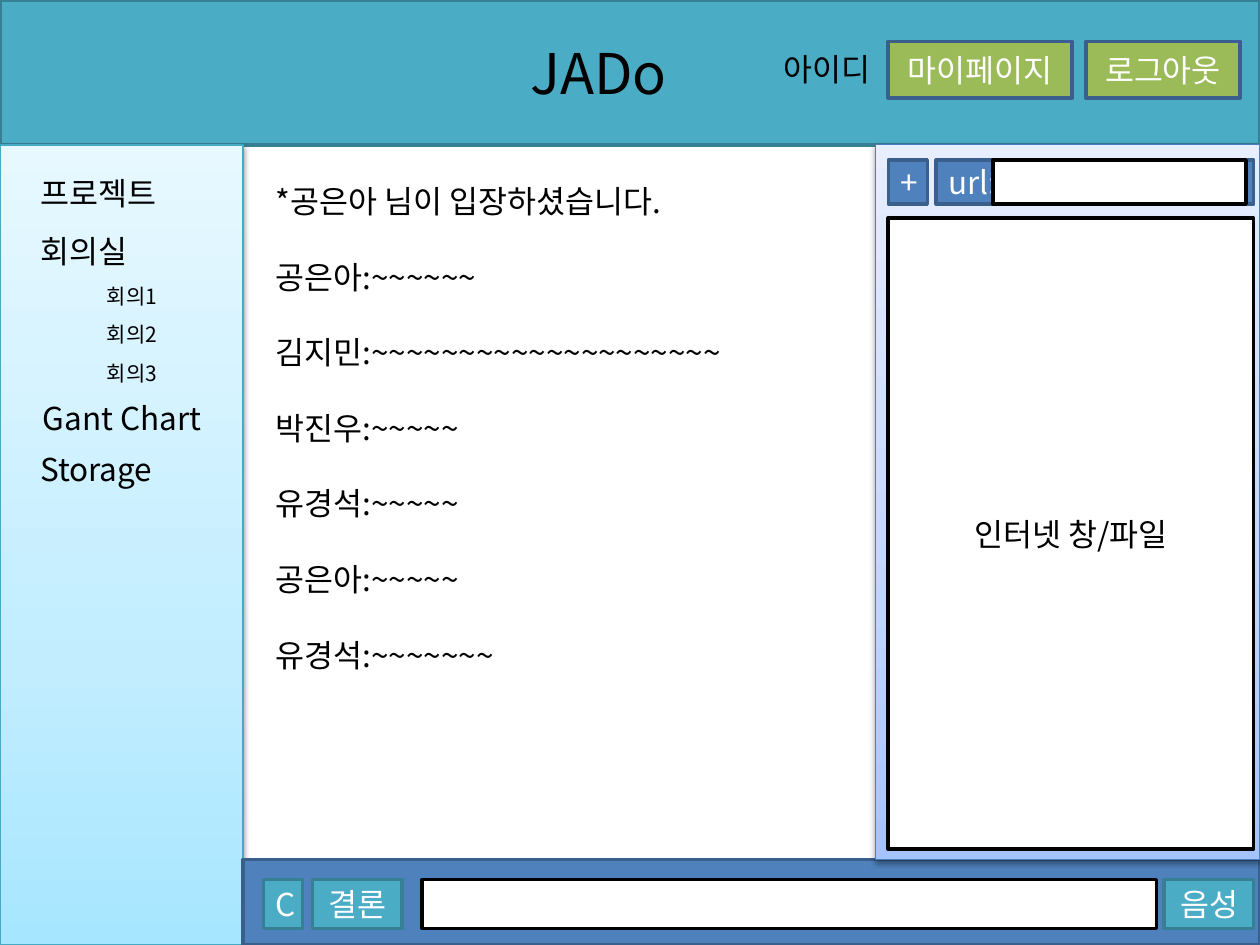
from copy import deepcopy
from lxml import etree
from pptx import Presentation
from pptx.dml.color import RGBColor
from pptx.enum.shapes import MSO_SHAPE
from pptx.enum.text import MSO_ANCHOR, PP_ALIGN
from pptx.oxml.ns import qn
from pptx.util import Inches, Pt

RECT = MSO_SHAPE.RECTANGLE
MIDDLE = MSO_ANCHOR.MIDDLE
LEFT, CENTER = PP_ALIGN.LEFT, PP_ALIGN.CENTER

THEME = {
    "font": "Noto Sans CJK KR",
    "title": 32, "body": 18, "small": 12,
    "teal": ("4BACC6", "377F92", "FFFFFF"),
    "green": ("9BBB59", "3A5F8C", "FFFFFF"),
    "blue": ("4F81BD", "3A5F8C", "FFFFFF"),
    "white": ("FFFFFF", "000000", "000000"),
    "sky": (("A7E6FF", "C1EDFF", "E7F8FF"), "46AAC5"),
    "lavender": (("A4C4FF", "BFD4FF", "E6EEFF"), "4B7EBC"),
    "ink": "000000",
    "border": 2, "panel_border": 0.75,
    "chat_line": 22, "chat_gap": 21.2,
}

HEADER_LABELS = [("아이디", 6.12, 0.35, 1.65, 0.4, "body"),
                 ("JADo", 4.11, 0.26, 1.38, 0.64, "title")]
ACCOUNT_BUTTONS = [("로그아웃", 8.62, 1.22), ("마이페이지", 7.05, 1.46)]
MENU = [("프로젝트", 0.22, 1.33), ("회의실", 0.22, 1.79),
        ("Gant Chart", 0.24, 3.12), ("Storage", 0.22, 3.52)]
MEETINGS = ["회의1", "회의2", "회의3"]
CHAT = [
    "*공은아 님이 입장하셨습니다.",
    "공은아:~~~~~~",
    "김지민:~~~~~~~~~~~~~~~~~~~~",
    "박진우:~~~~~",
    "유경석:~~~~~",
    "공은아:~~~~~",
    "유경석:~~~~~~~",
]
INPUT_BAR = [("C", 2.09, 0.31, "teal"), ("결론", 2.48, 0.71, "teal"),
             ("", 3.35, 5.83, "white"), ("음성", 9.24, 0.71, "teal")]
BROWSER_BAR = [("+", 7.05, 0.31, "blue", CENTER), ("url:", 7.43, 2.52, "blue", LEFT),
               ("", 7.88, 2.01, "white", CENTER)]

HEADER_H, SIDEBAR_W, FOOTER_TOP, BROWSER_LEFT = 1.15, 1.93, 6.82, 6.95
SLIDE_W, SLIDE_H = 10, 7.5

prs = Presentation()
prs.slide_width, prs.slide_height = Inches(SLIDE_W), Inches(SLIDE_H)
slide = prs.slides.add_slide(prs.slide_layouts[6])


def style(paragraph, size, color, align=LEFT):
    paragraph.alignment = align
    for run in paragraph.runs:
        run.font.size = Pt(THEME[size])
        run.font.name = THEME["font"]
        run.font.color.rgb = RGBColor.from_string(color)
        east_asian = etree.SubElement(run.font._element, qn("a:ea"))
        east_asian.set("typeface", THEME["font"])


def outlined_rect(x, y, w, h, line, width):
    rect = slide.shapes.add_shape(RECT, Inches(x), Inches(y), Inches(w), Inches(h))
    rect.shadow.inherit = False
    rect.line.color.rgb = RGBColor.from_string(line)
    rect.line.width = Pt(THEME[width])
    return rect


def box(x, y, w, h, look, text="", align=CENTER):
    fill, line, ink = THEME[look]
    rect = outlined_rect(x, y, w, h, line, "border")
    rect.fill.solid()
    rect.fill.fore_color.rgb = RGBColor.from_string(fill)
    if text:
        rect.text_frame.text = text
        rect.text_frame.vertical_anchor = MIDDLE
        style(rect.text_frame.paragraphs[0], "body", ink, align)


def gradient_panel(x, y, w, h, look):
    colors, line = THEME[look]
    panel = outlined_rect(x, y, w, h, line, "panel_border")
    panel.fill.gradient()
    panel.fill.gradient_angle = 90
    properties = panel._element.spPr
    stop_list = properties.find(".//" + qn("a:gsLst"))
    stop_list.append(deepcopy(stop_list[-1]))
    for stop, color, position in zip(panel.fill.gradient_stops, colors, (0, 0.35, 1)):
        stop.color.rgb = RGBColor.from_string(color)
        stop.position = position
    shadow = etree.SubElement(properties.find(qn("a:effectLst")), qn("a:outerShdw"),
                              blurRad=str(Pt(3.1)), dist=str(Pt(1.6)),
                              dir="5400000", rotWithShape="0")
    shade = etree.SubElement(shadow, qn("a:srgbClr"), val=THEME["ink"])
    etree.SubElement(shade, qn("a:alpha"), val="38000")


def label(lines, x, y, w, h, size="body"):
    frame = slide.shapes.add_textbox(Inches(x), Inches(y), Inches(w), Inches(h)).text_frame
    frame.word_wrap = True
    frame.text = "\n".join(lines)
    for paragraph in frame.paragraphs:
        style(paragraph, size, THEME["ink"])
    return frame


box(0, 0, SLIDE_W, HEADER_H, "teal")
gradient_panel(0, HEADER_H, SIDEBAR_W, SLIDE_H - HEADER_H, "sky")
for text, x, y, w, h, size in HEADER_LABELS:
    label([text], x, y, w, h, size)
for text, x, w in ACCOUNT_BUTTONS:
    box(x, 0.33, w, 0.45, "green", text)

for text, x, y in MENU:
    label([text], x, y, 1.46, 0.4)
for row, text in enumerate(MEETINGS):
    label([text], 0.75, 2.2 + 0.305 * row, 0.74, 0.3, "small")

box(SIDEBAR_W, FOOTER_TOP, SLIDE_W - SIDEBAR_W, SLIDE_H - FOOTER_TOP, "blue")
for text, x, w, look in INPUT_BAR:
    box(x, 6.98, w, 0.39, look, text)

chat = label(CHAT, 2.09, 1.39, 4.65, 4.04)
for turn, message in enumerate(chat.paragraphs):
    message.line_spacing = Pt(THEME["chat_line"])
    if turn:
        message.space_before = Pt(THEME["chat_gap"])

gradient_panel(BROWSER_LEFT, HEADER_H, SLIDE_W - BROWSER_LEFT, FOOTER_TOP - HEADER_H, "lavender")
for text, x, w, look, align in BROWSER_BAR:
    box(x, 1.27, w, 0.35, look, text, align)
box(7.05, 1.73, 2.9, 5.01, "white", "인터넷 창/파일")

prs.save("out.pptx")
